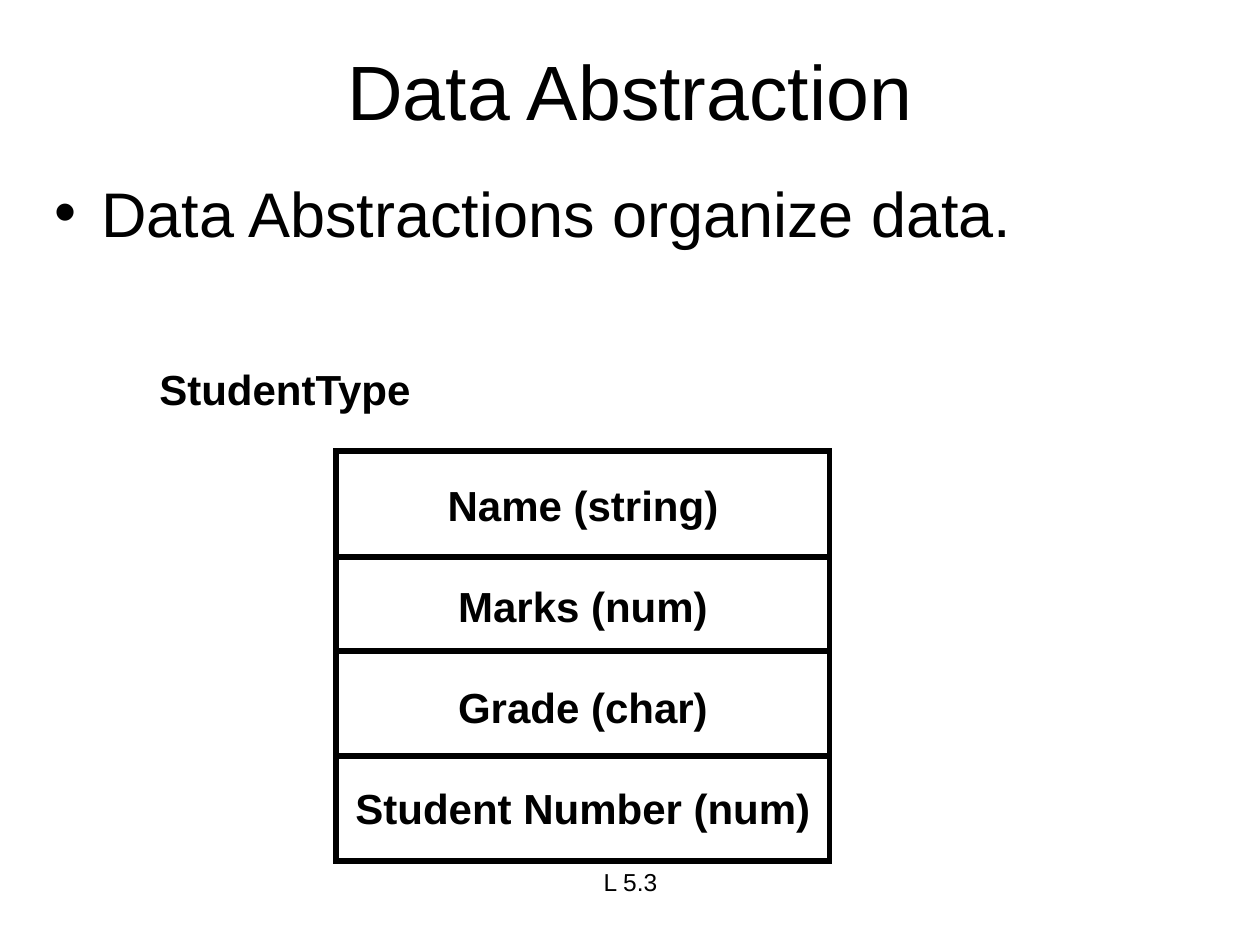
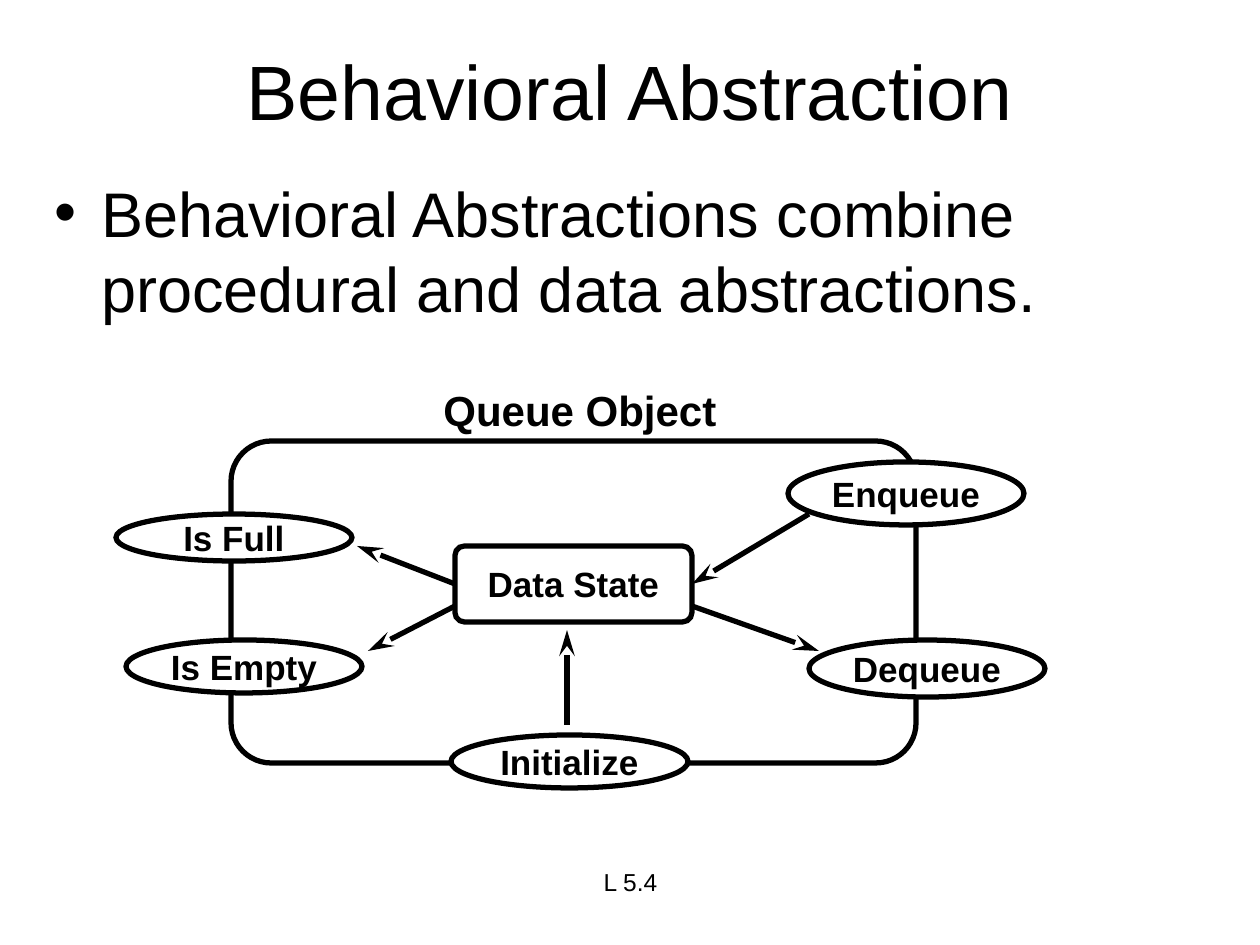
from lxml import etree
from pptx import Presentation
from pptx import util as u
from pptx.dml.color import RGBColor
from pptx.enum import shapes, text
from pptx.oxml import ns

BLACK = RGBColor(0, 0, 0)
WHITE = RGBColor(255, 255, 255)
FONT = "Arial"
PX_PER_INCH = 126
LINE_WIDTH = u.Pt(3)
BULLET_INDENT = 47

TITLE_AREA = (42, 42, 1176, 95)
FOOTER_AREA = (431, 861, 399, 66)
BODY_LEFT, BODY_TOP, BODY_WIDTH = 42, 168, 1176

DATA_SLIDE = dict(title="Data Abstraction", body="Data Abstractions organize data.",
                  body_height=121, footer="L 5.3")
BEHAVIOR_SLIDE = dict(title="Behavioral Abstraction",
                      body="Behavioral Abstractions combine procedural and data abstractions.",
                      body_height=725, footer="L 5.4")

RECORD_NAME = ("StudentType", (147, 357, 280, 63))
RECORD_AREA = (336, 451, 494, 410)
RECORD_FIELDS = ["Name (string)", "Marks (num)", "Grade (char)", "Student Number (num)"]
DIVIDER_TOPS = [557, 651, 756]

QUEUE_NAME = ("Queue Object", (431, 378, 320, 63))
QUEUE_AREA = (231, 441, 685, 322)
STATE = ("Data State", (455, 546, 237, 76))
OPERATIONS = [
    ("Enqueue", (788, 462, 236, 63)),
    ("Is Full", (116, 514, 236, 47)),
    ("Is Empty", (126, 640, 236, 53)),
    ("Dequeue", (809, 640, 236, 57)),
    ("Initialize", (451, 735, 237, 53)),
]
STATE_LEFT, STATE_RIGHT = 1, 3
ARROWS = [
    dict(start=(809, 514), end=(692, 584), end_side=STATE_RIGHT),
    dict(start=(567, 725), end=(567, 630)),
    dict(start=(455, 584), end=(357, 546), start_side=STATE_LEFT),
    dict(start=(455, 606), end=(368, 651)),
    dict(start=(692, 606), end=(819, 651)),
]
CENTERED = dict(align=text.PP_ALIGN.CENTER, anchor=text.MSO_ANCHOR.MIDDLE)
SHAPE_LABEL = dict(CENTERED, bold=True, wrap=False)


def px(*lengths):
    return [round(length * u.Inches(1) / PX_PER_INCH) for length in lengths]


def write(shape, content, size, bold=False, align=text.PP_ALIGN.LEFT, anchor=text.MSO_ANCHOR.TOP,
          wrap=True, bullet=False, gap=0):
    frame = shape.text_frame
    frame.word_wrap = wrap
    frame.vertical_anchor = anchor
    lines = [content] if isinstance(content, str) else content
    for index, line in enumerate(lines):
        paragraph = frame.add_paragraph() if index else frame.paragraphs[0]
        paragraph.alignment = align
        if index and gap:
            paragraph.space_before = u.Pt(gap)
        if bullet:
            properties = paragraph._p.get_or_add_pPr()
            indent, = px(BULLET_INDENT)
            properties.set("marL", str(indent))
            properties.set("indent", str(-indent))
            etree.SubElement(properties, ns.qn("a:buFont")).set("typeface", FONT)
            etree.SubElement(properties, ns.qn("a:buChar")).set("char", "•")
        run = paragraph.add_run()
        run.text = line
        run.font.name = FONT
        run.font.size = u.Pt(size)
        run.font.bold = bold
        run.font.color.rgb = BLACK


def add_text(slide, content, area, size, **formats):
    write(slide.shapes.add_textbox(*px(*area)), content, size, **formats)


def add_outline(slide, kind, area, fill=None):
    outline = slide.shapes.add_shape(kind, *px(*area))
    outline.shadow.inherit = False
    if fill is None:
        outline.fill.background()
    else:
        outline.fill.solid()
        outline.fill.fore_color.rgb = fill
    outline.line.color.rgb = BLACK
    outline.line.width = LINE_WIDTH
    etree.SubElement(outline.line._get_or_add_ln(), ns.qn("a:miter")).set("lim", "800000")
    return outline


def add_rounded(slide, area):
    rounded = add_outline(slide, shapes.MSO_SHAPE.ROUNDED_RECTANGLE, area)
    rounded.adjustments[0] = 0.125
    return rounded


def add_line(slide, start, end, arrow=False):
    line = slide.shapes.add_connector(shapes.MSO_CONNECTOR.STRAIGHT, *px(*start, *end))
    line.line.color.rgb = BLACK
    line.line.width = LINE_WIDTH
    if arrow:
        head = etree.SubElement(line.line._get_or_add_ln(), ns.qn("a:tailEnd"))
        head.set("type", "stealth")
        head.set("len", "lg")
    etree.SubElement(line._element.spPr, ns.qn("a:effectLst"))
    return line


def add_slide(deck, title, body, body_height, footer):
    slide = deck.slides.add_slide(deck.slide_layouts[6])
    add_text(slide, title, TITLE_AREA, 44, **CENTERED)
    add_text(slide, body, (BODY_LEFT, BODY_TOP, BODY_WIDTH, body_height), 36, bullet=True)
    add_text(slide, footer, FOOTER_AREA, 14, align=text.PP_ALIGN.CENTER)
    return slide


def draw_record(slide):
    record = add_outline(slide, shapes.MSO_SHAPE.RECTANGLE, RECORD_AREA)
    write(record, RECORD_FIELDS, 24, gap=29, **SHAPE_LABEL)
    left, _, width, _ = RECORD_AREA
    for top in DIVIDER_TOPS:
        add_line(slide, (left, top), (left + width, top))
    add_text(slide, *RECORD_NAME, 24, bold=True)


def draw_queue(slide):
    add_rounded(slide, QUEUE_AREA)
    state_name, state_area = STATE
    state = add_rounded(slide, state_area)
    write(state, state_name, 20, **SHAPE_LABEL)
    for name, area in OPERATIONS:
        operation = add_outline(slide, shapes.MSO_SHAPE.OVAL, area, WHITE)
        write(operation, name, 20, **SHAPE_LABEL)
    for arrow in ARROWS:
        line = add_line(slide, arrow["start"], arrow["end"], arrow=True)
        if "start_side" in arrow:
            line.begin_connect(state, arrow["start_side"])
        if "end_side" in arrow:
            line.end_connect(state, arrow["end_side"])
    add_text(slide, *QUEUE_NAME, 24, bold=True)


def main():
    deck = Presentation()
    deck.slide_width, deck.slide_height = px(1260, 945)
    draw_record(add_slide(deck, **DATA_SLIDE))
    draw_queue(add_slide(deck, **BEHAVIOR_SLIDE))
    deck.save("out.pptx")


if __name__ == "__main__":
    main()
